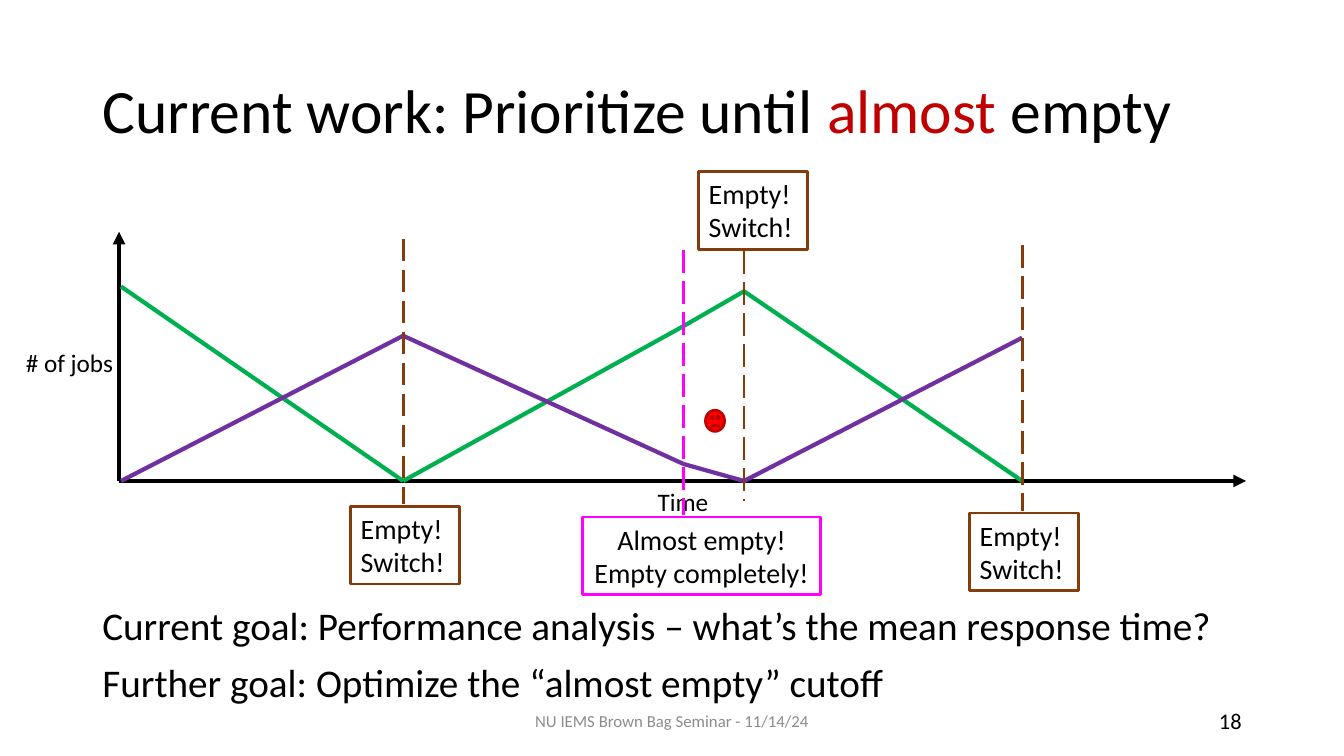
from itertools import pairwise

from lxml import etree
from pptx import Presentation
from pptx.dml.color import RGBColor
from pptx.enum.dml import MSO_LINE
from pptx.enum.shapes import MSO_CONNECTOR, MSO_SHAPE
from pptx.enum.text import MSO_ANCHOR, PP_ALIGN
from pptx.oxml.ns import qn
from pptx.util import Cm, Pt

STRAIGHT = MSO_CONNECTOR.STRAIGHT
LONG_DASH = MSO_LINE.LONG_DASH
RECTANGLE, SMILEY = MSO_SHAPE.RECTANGLE, MSO_SHAPE.SMILEY_FACE
TOP, MIDDLE = MSO_ANCHOR.TOP, MSO_ANCHOR.MIDDLE
LEFT, CENTER, RIGHT = PP_ALIGN.LEFT, PP_ALIGN.CENTER, PP_ALIGN.RIGHT

FONT = "Calibri"
BLACK, WHITE, GREY = "000000", "FFFFFF", "8C8C8C"
GREEN, PURPLE, BROWN, MAGENTA = "00B050", "7030A0", "843C0B", "FF00FF"
RED, DARK_RED = "FF0000", "C00000"

# Times are cm right of the origin, job counts cm above the time axis.
START, FIRST_SWITCH, CUTOFF, SECOND_SWITCH, THIRD_SWITCH = 0.05, 7.16, 14.22, 15.75, 22.76
TIMES = [START, FIRST_SWITCH, CUTOFF, SECOND_SWITCH, THIRD_SWITCH]
JOB_COUNTS = {
    GREEN: [4.9, 0, 3.9, 4.78, 0],
    PURPLE: [0, 3.66, 0.43, 0, 3.61],
}
SWITCH = "Empty!\nSwitch!"
# time, line top, line bottom, box offset, box top, box width, text, colour, alignment
EVENTS = [
    (FIRST_SWITCH, 6.1, -0.58, -1.32, -0.64, 2.74, SWITCH, BROWN, LEFT),
    (CUTOFF, 5.82, -0.86, -2.54, -0.91, 6, "Almost empty! Empty completely!", MAGENTA, CENTER),
    (SECOND_SWITCH, 5.79, -0.51, -1.14, 7.8, 2.74, SWITCH, BROWN, LEFT),
    (THIRD_SWITCH, 5.94, -0.76, -1.32, -0.81, 2.74, SWITCH, BROWN, LEFT),
]
EVENT_BOX_HEIGHT = 1.96


def rgb(colour):
    return RGBColor.from_string(colour)


def write(shape, text, size, colour=BLACK, align=LEFT, anchor=TOP):
    frame = shape.text_frame
    frame.text = text
    frame.word_wrap = True
    frame.vertical_anchor = anchor
    for paragraph in frame.paragraphs:
        paragraph.alignment = align
        for run in paragraph.runs:
            style_run(run, size, colour)
    return frame


def style_run(run, size, colour):
    run.font.name = FONT
    run.font.size = Pt(size)
    run.font.color.rgb = rgb(colour)


def add_label(slide, left, top, width, height, text, size, **style):
    label = slide.shapes.add_textbox(Cm(left), Cm(top), Cm(width), Cm(height))
    return write(label, text, size, **style)


def add_line(slide, start, end, colour, width):
    line = slide.shapes.add_connector(STRAIGHT, *(Cm(value) for value in (*start, *end)))
    line.line.color.rgb = rgb(colour)
    line.line.width = Pt(width)
    etree.SubElement(line._element.spPr, qn("a:effectLst"))
    return line


def add_arrow(slide, start, end):
    arrow = add_line(slide, start, end, BLACK, 3)
    etree.SubElement(arrow.line._get_or_add_ln(), qn("a:tailEnd"), type="triangle")


def add_outlined(slide, kind, left, top, width, height, fill, outline):
    shape = slide.shapes.add_shape(kind, Cm(left), Cm(top), Cm(width), Cm(height))
    shape.shadow.inherit = False
    shape.fill.solid()
    shape.fill.fore_color.rgb = rgb(fill)
    shape.line.color.rgb = rgb(outline)
    shape.line.width = Pt(2)
    return shape


def add_title(slide, left, top, width, height):
    title = slide.shapes.title
    title.left, title.top, title.width, title.height = map(Cm, (left, top, width, height))
    frame = write(title, "", 44, anchor=MIDDLE)
    paragraph = frame.paragraphs[0]
    paragraph.line_spacing = 0.9
    for text, colour in [
        ("Current work: Prioritize until ", BLACK),
        ("almost", DARK_RED),
        (" empty", BLACK),
    ]:
        run = paragraph.add_run()
        run.text = text
        style_run(run, 44, colour)


def add_axes(slide, left, top, width, height):
    origin = left, top + height
    add_arrow(slide, origin, (left + width, top + height))
    add_label(slide, left + 10.9, top + height, 6.62, 1.02, "Time", 18, align=CENTER)
    add_arrow(slide, origin, (left, top))
    add_label(slide, left - 2.67, top + 2.8, 2.84, 1.02, "# of jobs", 18, align=CENTER)


def add_queue_diagram(slide, left, top, width, height):
    """Draw both job counts over time, with the events that change priority."""
    def place(time, jobs):
        return left + time, top + height - jobs

    add_axes(slide, left, top, width, height)
    for colour, counts in JOB_COUNTS.items():
        points = [place(time, jobs) for time, jobs in zip(TIMES, counts)]
        for start, end in pairwise(points):
            add_line(slide, start, end, colour, 3)

    for time, line_top, line_bottom, offset, box_top, box_width, text, colour, align in EVENTS:
        marker = add_line(slide, place(time, line_top), place(time, line_bottom), colour, 2)
        marker.line.dash_style = LONG_DASH
        box = add_outlined(slide, RECTANGLE, *place(time + offset, box_top),
                           box_width, EVENT_BOX_HEIGHT, WHITE, colour)
        write(box, text, 20, align=align)

    frown = add_outlined(slide, SMILEY, *place(14.78, 1.78), 0.48, 0.53, RED, DARK_RED)
    frown.adjustments[0] = -0.047


def add_goals(slide, left, top, width, height):
    goals = ("Current goal: Performance analysis – what’s the mean response time?\n"
             "Further goal: Optimize the “almost empty” cutoff")
    frame = add_label(slide, left, top, width, height, goals, 28)
    for paragraph in frame.paragraphs:
        paragraph.line_spacing = 0.9
    frame.paragraphs[1].space_before = Pt(10)


def add_footer(slide, left, top, width, height):
    add_label(slide, left, top, 11.43, height, "NU IEMS Brown Bag Seminar - 11/14/24", 12,
              colour=GREY, align=CENTER, anchor=MIDDLE)
    add_label(slide, left + width - 7.62, top, 7.62, height, "18", 16,
              align=RIGHT, anchor=MIDDLE)


def main():
    presentation = Presentation()
    presentation.slide_width, presentation.slide_height = Cm(33.87), Cm(19.05)
    slide = presentation.slides.add_slide(presentation.slide_layouts.get_by_name("Title Only"))
    add_title(slide, 2.33, 1.01, 29.21, 3.68)
    add_footer(slide, 11.22, 17.66, 20.32, 1.01)
    add_queue_diagram(slide, 3, 5.84, 28.4, 6.28)
    add_goals(slide, 2.33, 15.17, 29.21, 2.74)
    presentation.save("out.pptx")


if __name__ == "__main__":
    main()
